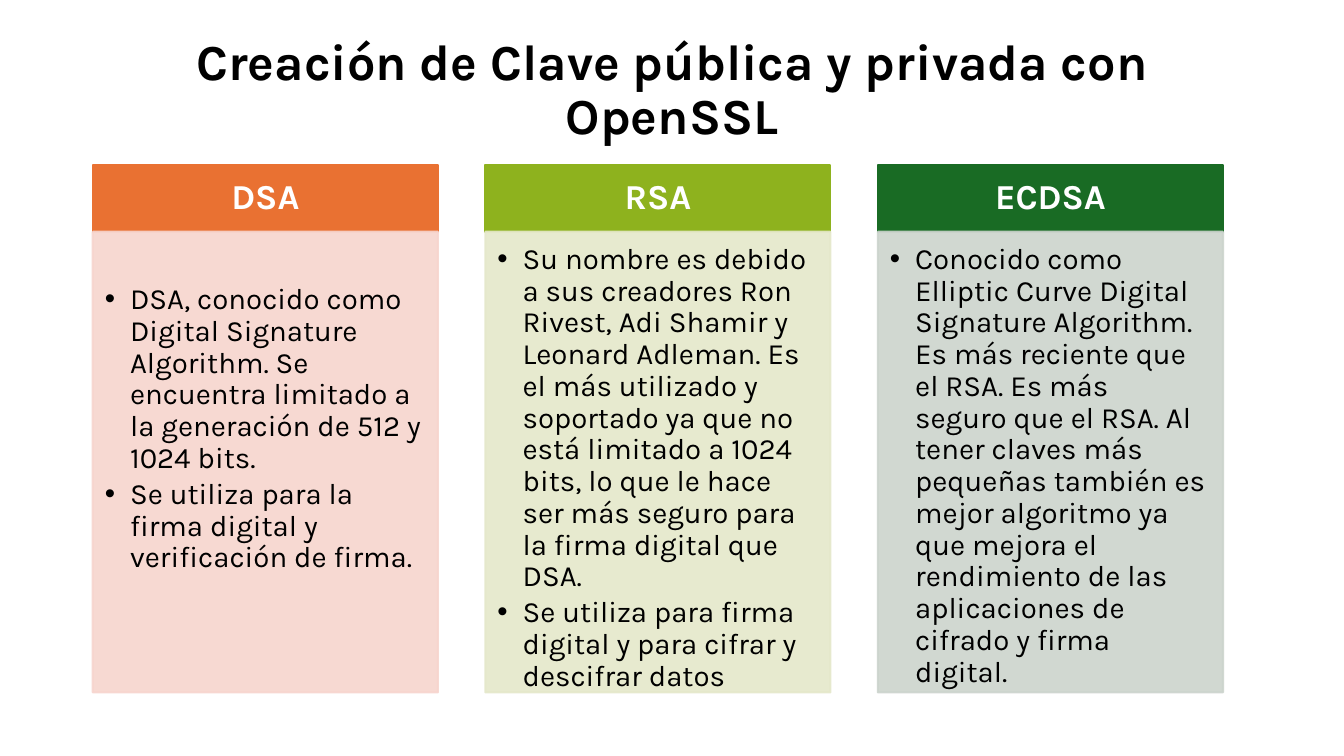
import pptx
import pptx.util
import pptx.dml.color
import pptx.enum.shapes
import pptx.enum.text
import pptx.oxml
import pptx.oxml.ns

Inches, Pt = pptx.util.Inches, pptx.util.Pt
RGB = pptx.dml.color.RGBColor
ALIGN = pptx.enum.text.PP_ALIGN
ANCHOR = pptx.enum.text.MSO_ANCHOR
RECT = pptx.enum.shapes.MSO_SHAPE.RECTANGLE

BLACK = RGB(0x00, 0x00, 0x00)
WHITE = RGB(0xFF, 0xFF, 0xFF)
ORANGE, PINK = RGB(0xE9, 0x71, 0x32), RGB(0xF7, 0xD5, 0xCE)
LIME, CREAM = RGB(0x8E, 0xB2, 0x1E), RGB(0xE5, 0xE8, 0xCA)
GREEN, GRAY = RGB(0x19, 0x6B, 0x24), RGB(0xCC, 0xD4, 0xCD)

WIDE, HIGH = 13.33, 7.5
LEFT, TOP = 0.92, 1.64
SPAN, TALL = 11.21, 5.23    # area of the three columns
GAP = 0.47
HEAD = 0.66                 # height of a column heading
INSET = 0.12
DROP = 0.4                  # extra room above the first list

# Heading, heading colour, body colour, room above the list, list items
COLS = [
    ("DSA", ORANGE, PINK, DROP, [
        "DSA, conocido como Digital Signature Algorithm. Se encuentra "
        "limitado a la generación de 512 y 1024 bits.",
        "Se utiliza para la firma digital y verificación de firma."]),
    ("RSA", LIME, CREAM, 0, [
        "Su nombre es debido a sus creadores Ron Rivest, Adi Shamir y "
        "Leonard Adleman. Es el más utilizado y soportado ya que no está "
        "limitado a 1024 bits, lo que le hace ser más seguro para la firma "
        "digital que DSA.",
        "Se utiliza para firma digital y para cifrar y descifrar datos"]),
    ("ECDSA", GREEN, GRAY, 0, [
        "Conocido como Elliptic Curve Digital Signature Algorithm. Es más "
        "reciente que el RSA. Es más seguro que el RSA. Al tener claves más "
        "pequeñas también es mejor algoritmo ya que mejora el rendimiento de "
        "las aplicaciones de cifrado y firma digital."]),
]


def add_bullet(para):
    props = para._p.get_or_add_pPr()
    props.set("marL", str(Inches(0.25)))
    props.set("indent", str(-Inches(0.25)))
    space = pptx.oxml.ns.nsdecls("a")
    props.append(pptx.oxml.parse_xml(f'<a:buFont {space} typeface="Arial"/>'))
    props.append(pptx.oxml.parse_xml(f'<a:buChar {space} char="•"/>'))


def set_text(shape, lines, size, color=BLACK, bold=False, align=ALIGN.CENTER,
             anchor=ANCHOR.MIDDLE, inset=None, bullet=False, after=0):
    frame = shape.text_frame
    frame.word_wrap = True
    frame.auto_size = pptx.enum.text.MSO_AUTO_SIZE.NONE
    frame.vertical_anchor = anchor
    if inset:
        (frame.margin_left, frame.margin_top,
         frame.margin_right, frame.margin_bottom) = map(Inches, inset)
    for i, line in enumerate(lines):
        para = frame.add_paragraph() if i else frame.paragraphs[0]
        para.text = line
        if bullet:
            add_bullet(para)
        para.alignment = align
        para.line_spacing = 0.9
        para.space_before = Pt(0)
        para.space_after = Pt(after)
        font = para.runs[0].font
        font.name, font.size, font.bold = "Karla", Pt(size), bold
        font.color.rgb = color


def add_rect(slide, box, color, alpha=100):
    rect = slide.shapes.add_shape(RECT, *map(Inches, box))
    rect.shadow.inherit = False
    rect.fill.solid()
    rect.fill.fore_color.rgb = color
    rect.line.color.rgb = color
    rect.line.width = Pt(1.5)
    if alpha < 100:
        space = pptx.oxml.ns.nsdecls("a")
        for tint in rect._element.spPr.iter(pptx.oxml.ns.qn("a:srgbClr")):
            tint.append(pptx.oxml.parse_xml(
                f'<a:alpha {space} val="{alpha * 1000}"/>'))
    return rect


def add_title(slide, box, text):
    title = slide.shapes.title
    title.left, title.top, title.width, title.height = map(Inches, box)
    set_text(title, [text], 36, bold=True)


def add_column(slide, box, name, dark, pale, drop, items):
    x, y, w, h = box
    # Heading band
    head = add_rect(slide, (x, y, w, HEAD), dark)
    set_text(head, [name], 25, WHITE, bold=True,
             inset=(0.19, 0.11, 0.19, 0.11))
    # Bulleted list
    body = add_rect(slide, (x, y + HEAD, w, h - HEAD), pale, alpha=90)
    set_text(body, items, 21, align=ALIGN.LEFT, anchor=ANCHOR.TOP,
             inset=(INSET, INSET + drop, 0.16, 0.18), bullet=True, after=3)


def main():
    deck = pptx.Presentation()
    deck.slide_width, deck.slide_height = Inches(WIDE), Inches(HIGH)
    slide = deck.slides.add_slide(deck.slide_layouts.get_by_name("Title Only"))

    add_title(slide, (LEFT, 0.4, WIDE - 2 * LEFT, 1.01),
              "Creación de Clave pública y privada con OpenSSL")

    width = (SPAN - GAP * (len(COLS) - 1)) / len(COLS)
    for i, col in enumerate(COLS):
        add_column(slide, (LEFT + i * (width + GAP), TOP, width, TALL), *col)

    deck.save("out.pptx")


if __name__ == "__main__":
    main()
